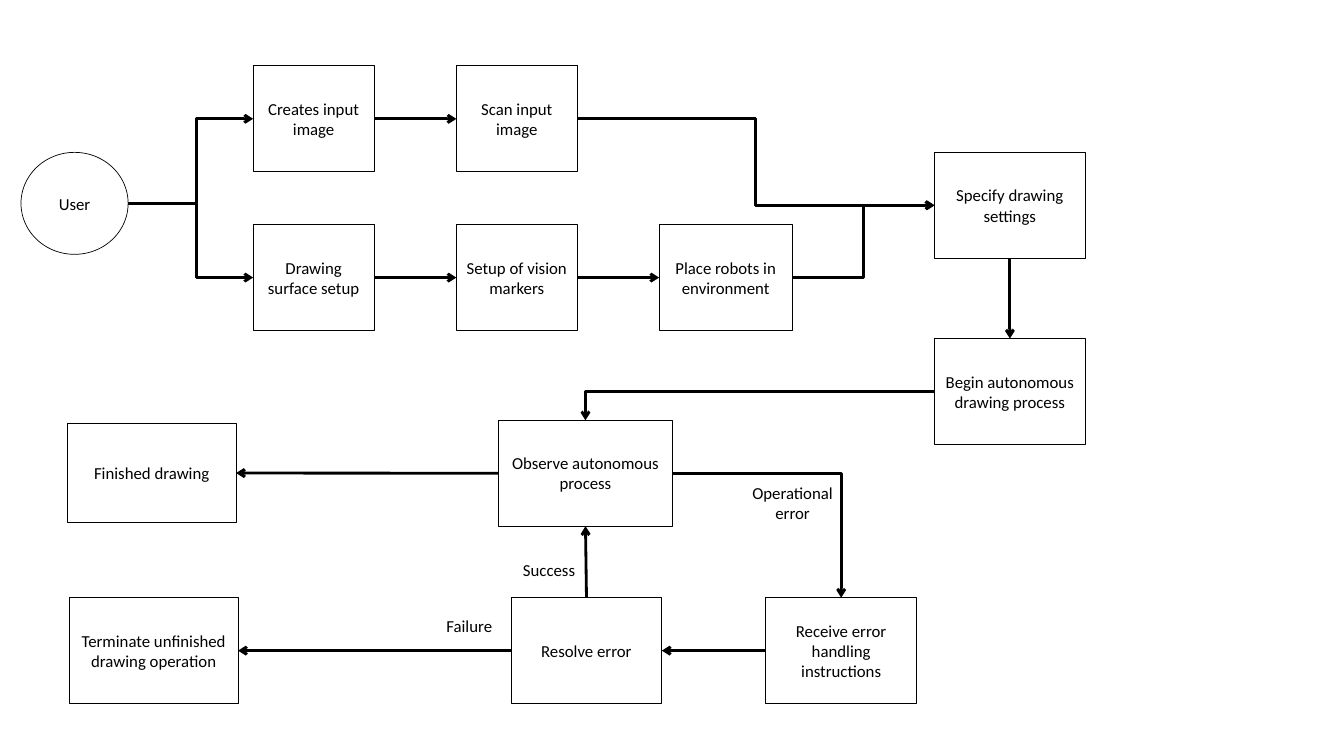
"""Build a flowchart slide of a robot drawing process."""
from lxml import etree
from pptx import Presentation
from pptx import util as u
from pptx.dml.color import RGBColor
from pptx.enum import shapes, text
from pptx.oxml.ns import qn


def paint(color_format, color):
    color_format.rgb = RGBColor.from_string(color)


def write(shape, wording, alignment):
    shape.text_frame.text = wording
    paragraph = shape.text_frame.paragraphs[0]
    paragraph.alignment = alignment
    font = paragraph.runs[0].font
    font.name, font.size = "Calibri", u.Pt(12)
    paint(font.color, INK)


INK = "000000"
CENTER, LEFT_ALIGNED = text.PP_ALIGN.CENTER, text.PP_ALIGN.LEFT
TOP, LEFT, BOTTOM, RIGHT = range(4)
BOX_HEIGHT = 2.67
TOP_ROW, SETUP_ROW, ERROR_ROW = 1.66, 5.66, 15.06
USER_ROW, BEGIN_ROW, OBSERVE_ROW = 3.84, 8.53, 10.59

presentation = Presentation()
presentation.slide_width = u.Cm(33.87)
presentation.slide_height = u.Cm(19.05)
slide = presentation.slides.add_slide(presentation.slide_layouts[6])

steps = [
    ("user", "User", 0.53, USER_ROW, 2.7, 2.57),
    ("create", "Creates input image", 6.38, TOP_ROW, 3.05, BOX_HEIGHT),
    ("scan", "Scan input image", 11.5, TOP_ROW, 3.05, BOX_HEIGHT),
    ("surface", "Drawing surface setup", 6.38, SETUP_ROW, 3.05, BOX_HEIGHT),
    ("markers", "Setup of vision markers", 11.5, SETUP_ROW, 3.05, BOX_HEIGHT),
    ("robots", "Place robots in environment", 16.61, SETUP_ROW, 3.36, BOX_HEIGHT),
    ("settings", "Specify drawing settings", 23.55, USER_ROW, 3.8, BOX_HEIGHT),
    ("begin", "Begin autonomous drawing process", 23.55, BEGIN_ROW, 3.8, BOX_HEIGHT),
    ("observe", "Observe autonomous process", 12.57, OBSERVE_ROW, 4.37, BOX_HEIGHT),
    ("finished", "Finished drawing", 1.7, 10.67, 4.25, 2.5),
    ("receive", "Receive error handling instructions", 19.3, ERROR_ROW, 3.8, BOX_HEIGHT),
    ("resolve", "Resolve error", 12.88, ERROR_ROW, 3.8, BOX_HEIGHT),
    ("terminate", "Terminate unfinished drawing operation", 1.75, ERROR_ROW, 4.25, BOX_HEIGHT),
]
boxes = {}
for name, wording, left, top, width, height in steps:
    outline = shapes.MSO_SHAPE.OVAL if name == "user" else shapes.MSO_SHAPE.RECTANGLE
    shape = slide.shapes.add_shape(outline, u.Cm(left), u.Cm(top), u.Cm(width), u.Cm(height))
    shape.shadow.inherit = False
    shape.fill.background()
    paint(shape.line.color, INK)
    shape.line.width = u.Pt(0.5)
    shape.text_frame.vertical_anchor = text.MSO_ANCHOR.MIDDLE
    write(shape, wording, CENTER)
    boxes[name] = shape

arrows = [
    ("user", RIGHT, "create", LEFT, "bentConnector3", 54500),
    ("user", RIGHT, "surface", LEFT, "bentConnector3", 54500),
    ("create", RIGHT, "scan", LEFT, "line", None),
    ("surface", RIGHT, "markers", LEFT, "line", None),
    ("markers", RIGHT, "robots", LEFT, "line", None),
    ("robots", RIGHT, "settings", LEFT, "bentConnector3", 50000),
    ("scan", RIGHT, "settings", LEFT, "bentConnector3", 50000),
    ("settings", BOTTOM, "begin", TOP, "line", None),
    ("begin", LEFT, "observe", TOP, "bentConnector2", None),
    ("observe", LEFT, "finished", RIGHT, "line", None),
    ("observe", RIGHT, "receive", TOP, "bentConnector2", None),
    ("receive", LEFT, "resolve", RIGHT, "line", None),
    ("resolve", LEFT, "terminate", RIGHT, "line", None),
    ("resolve", TOP, "observe", BOTTOM, "line", None),
]
for source, exit_side, target, entry_side, route, bend in arrows:
    kind = shapes.MSO_CONNECTOR.STRAIGHT if route == "line" else shapes.MSO_CONNECTOR.ELBOW
    connector = slide.shapes.add_connector(kind, 0, 0, 0, 0)
    connector.begin_connect(boxes[source], exit_side)
    connector.end_connect(boxes[target], entry_side)
    if source == "user":
        # An ellipse has eight connection sites; its right one is number 6.
        connector._element.find(".//" + qn("a:stCxn")).set("idx", "6")
    paint(connector.line.color, INK)
    connector.line.width = u.Pt(2)
    properties = connector._element.spPr
    geometry = properties.find(qn("a:prstGeom"))
    geometry.set("prst", route)
    if bend:
        guides = geometry.find(qn("a:avLst"))
        etree.SubElement(guides, qn("a:gd"), name="adj1", fmla=f"val {bend}")
    etree.SubElement(properties.find(qn("a:ln")), qn("a:tailEnd"), type="arrow")
    etree.SubElement(properties, qn("a:effectLst"))

labels = [
    ("Success", 12.93, 13.97, 1.85, 0.76, False, LEFT_ALIGNED),
    ("Failure", 11, 15.39, 1.68, 0.76, False, LEFT_ALIGNED),
    ("Operational error", 18.69, 12.04, 2.57, 1.27, True, CENTER),
]
for wording, left, top, width, height, wraps, alignment in labels:
    label = slide.shapes.add_textbox(u.Cm(left), u.Cm(top), u.Cm(width), u.Cm(height))
    label.text_frame.word_wrap = wraps
    label.text_frame.auto_size = text.MSO_AUTO_SIZE.SHAPE_TO_FIT_TEXT
    write(label, wording, alignment)

presentation.save("out.pptx")
